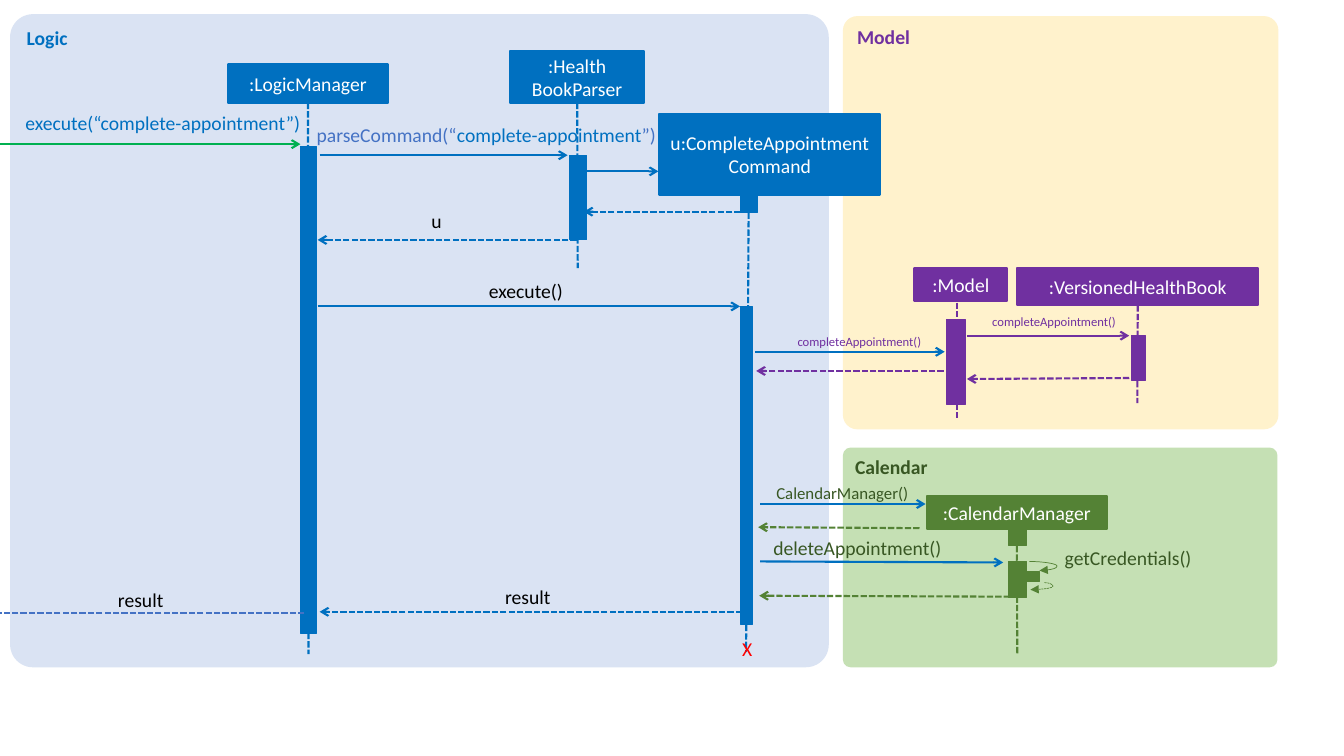
from pptx import Presentation
from pptx.dml.color import RGBColor
from pptx.enum import dml, shapes, text
from pptx.oxml import parse_xml
from pptx.oxml.ns import nsdecls, qn
from pptx.util import Pt

PX = 9144  # 100 px to the inch
BLUE = RGBColor(0x00, 0x70, 0xC0)
SOFT_BLUE = RGBColor(0x44, 0x72, 0xC4)
PALE_BLUE = RGBColor(0xDA, 0xE3, 0xF3)
PURPLE = RGBColor(0x70, 0x30, 0xA0)
CREAM = RGBColor(0xFF, 0xF2, 0xCC)
GREEN = RGBColor(0x54, 0x82, 0x35)
DARK_GREEN = RGBColor(0x38, 0x57, 0x23)
PALE_GREEN = RGBColor(0xC5, 0xE0, 0xB4)
BRIGHT_GREEN = RGBColor(0x00, 0xB0, 0x50)
RED = RGBColor(0xFF, 0x00, 0x00)
BLACK = RGBColor(0x00, 0x00, 0x00)
WHITE = RGBColor(0xFF, 0xFF, 0xFF)

presentation = Presentation()
presentation.slide_width = 1333 * PX
presentation.slide_height = 750 * PX
slide = presentation.slides.add_slide(presentation.slide_layouts[6])


def add_box(kind, bounds, fill, line_width=0, words="", color=WHITE):
    shape = slide.shapes.add_shape(kind, *(n * PX for n in bounds))
    shape.shadow.inherit = False
    shape.fill.solid()
    shape.fill.fore_color.rgb = fill
    if line_width:
        shape.line.color.rgb = fill
        shape.line.width = Pt(line_width)
    else:
        shape.line.fill.background()
    if words:
        shape.text_frame.text = words
        for paragraph in shape.text_frame.paragraphs:
            paragraph.font.size = Pt(14)
            paragraph.font.name = "Calibri"
            paragraph.font.color.rgb = color
    return shape


def add_line(ends, color, dashed=False, arrow=None, width=1.5,
             kind=shapes.MSO_CONNECTOR.STRAIGHT):
    """Draw a connector; arrow is the arrowhead type at its end."""
    connector = slide.shapes.add_connector(kind, *(n * PX for n in ends))
    connector.line.color.rgb = color
    connector.line.width = Pt(width)
    if dashed:
        connector.line.dash_style = dml.MSO_LINE.SQUARE_DOT
    if arrow:
        connector.line._get_or_add_ln().append(
            parse_xml(f'<a:tailEnd {nsdecls("a")} type="{arrow}"/>'))
    connector._element.spPr.append(parse_xml(f'<a:effectLst {nsdecls("a")}/>'))
    return connector


# Component panels
for name, bounds, fill, color in [
    ("Model", (836, 16, 432, 410), CREAM, PURPLE),
    ("Logic", (10, 14, 812, 648), PALE_BLUE, BLUE),
    ("Calendar", (836, 444, 431, 218), PALE_GREEN, DARK_GREEN),
]:
    panel = add_box(shapes.MSO_SHAPE.ROUNDED_RECTANGLE, bounds, fill, 0, name, color)
    panel.adjustments[0] = 0.035
    panel.text_frame.vertical_anchor = text.MSO_ANCHOR.TOP
    paragraph = panel.text_frame.paragraphs[0]
    paragraph.alignment = text.PP_ALIGN.LEFT
    paragraph.font.bold = True

# Participants, each with the end of the lifeline below it
for name, bounds, color, lifeline_end in [
    (":LogicManager", (226, 64, 159, 38), BLUE, (306, 649)),
    (":Health\nBookParser", (506, 51, 133, 51), BLUE, (573, 266)),
    (":VersionedHealthBook", (1009, 266, 239, 37), PURPLE, (1128, 400)),
    (":CalendarManager", (919, 492, 179, 33), GREEN, (1009, 649)),
    (":Model", (907, 266, 92, 33), PURPLE, None),
    ("u:CompleteAppointment\vCommand", (654, 113, 219, 80), BLUE, None),
]:
    participant = add_box(shapes.MSO_SHAPE.RECTANGLE, bounds, color, 1.5, name)
    participant.text_frame.margin_left = participant.text_frame.margin_right = 0
    for paragraph in participant.text_frame.paragraphs:
        paragraph.alignment = text.PP_ALIGN.CENTER
    if lifeline_end:
        lifeline = add_line(lifeline_end * 2, color, dashed=True)
        lifeline.begin_connect(participant, 2)
add_line((949, 292, 949, 416), PURPLE, dashed=True)

# Activation bars
creation_bar = add_box(shapes.MSO_SHAPE.RECTANGLE, (734, 181, 17, 30), BLUE, 0.5)
command_lifeline = add_line((742, 212, 740, 647), BLUE, dashed=True)
command_lifeline.begin_connect(creation_bar, 2)
for bounds, color in [
    ((298, 145, 16, 483), BLUE),
    ((565, 154, 17, 84), BLUE),
    ((734, 304, 12, 315), BLUE),
    ((1122, 333, 14, 44), PURPLE),
    ((939, 317, 18, 84), PURPLE),
    ((1000, 523, 18, 18), GREEN),
    ((1000, 557, 18, 36), GREEN),
    ((1017, 567, 14, 10), GREEN),
]:
    add_box(shapes.MSO_SHAPE.RECTANGLE, bounds, color, 0.5)

# Calls
for ends, color in [
    ((-6, 143, 298, 143), BRIGHT_GREEN),
    ((317, 154, 563, 154), BLUE),
    ((582, 170, 653, 170), BLUE),
    ((315, 304, 734, 304), BLUE),
    ((749, 349, 937, 349), BLUE),
    ((959, 333, 1120, 333), PURPLE),
    ((754, 500, 918, 500), BLUE),
    ((754, 557, 995, 558), BLUE),
]:
    add_line(ends, color, arrow="arrow")

# Returns
for ends, color in [
    ((743, 210, 579, 210), BLUE),
    ((572, 238, 315, 238), BLUE),
    ((736, 607, 317, 607), BLUE),
    ((302, 608, -17, 608), SOFT_BLUE),
    ((1120, 375, 959, 376), PURPLE),
    ((936, 368, 750, 368), PURPLE),
    ((912, 524, 752, 523), GREEN),
    ((1010, 592, 753, 591), GREEN),
]:
    add_line(ends, color, dashed=True, arrow="arrow")

# Self call on the calendar manager and its return
for ends, bend, dashed in [
    ((1021, 557, 1031, 566), 274800, False),
    ((1036, 578, 1022, 585), -60400, True),
]:
    loop = add_line(ends, GREEN, dashed, "triangle", 0.5, shapes.MSO_CONNECTOR.CURVE)
    geometry = loop._element.spPr.find(qn("a:prstGeom"))
    geometry.get_or_add_avLst().append(
        parse_xml(f'<a:gd {nsdecls("a")} name="adj1" fmla="val {bend}"/>'))

# Message labels, as runs of text and colour
LEFT, RIGHT = text.PP_ALIGN.LEFT, text.PP_ALIGN.RIGHT
for bounds, size, alignment, runs in [
    ((21, 110, 277, 24), 14, RIGHT, [("execute(“complete-appointment”)", BLUE)]),
    ((314, 122, 339, 24), 14, LEFT, [("parseCommand(“", SOFT_BLUE),
                                     ("complete-appointment", BLUE), ("”)", SOFT_BLUE)]),
    ((428, 207, 24, 24), 14, LEFT, [("u", BLACK)]),
    ((485, 277, 94, 24), 14, LEFT, [("execute()", BLACK)]),
    ((501, 580, 68, 24), 14, LEFT, [("result", BLACK)]),
    ((117, 583, 83, 24), 14, LEFT, [("result", BLACK)]),
    ((736, 632, 20, 24), 14, LEFT, [("X", RED)]),
    ((984, 311, 128, 15), 9, LEFT, [("completeAppointment()", PURPLE)]),
    ((791, 331, 151, 15), 9, LEFT, [("completeAppointment()", PURPLE)]),
    ((770, 479, 163, 20), 12, LEFT, [("CalendarManager()", DARK_GREEN)]),
    ((767, 532, 174, 24), 14, LEFT, [("deleteAppointment()", DARK_GREEN)]),
    ((1056, 542, 133, 24), 14, LEFT, [("getCredentials()", DARK_GREEN)]),
]:
    label = slide.shapes.add_textbox(*(n * PX for n in bounds))
    frame = label.text_frame
    frame.word_wrap = True
    frame.margin_left = frame.margin_right = frame.margin_top = frame.margin_bottom = 0
    paragraph = frame.paragraphs[0]
    paragraph.alignment = alignment
    paragraph.font.size = Pt(size)
    paragraph.font.name = "Calibri"
    for words, color in runs:
        run = paragraph.add_run()
        run.text = words
        run.font.color.rgb = color

presentation.save("out.pptx")
